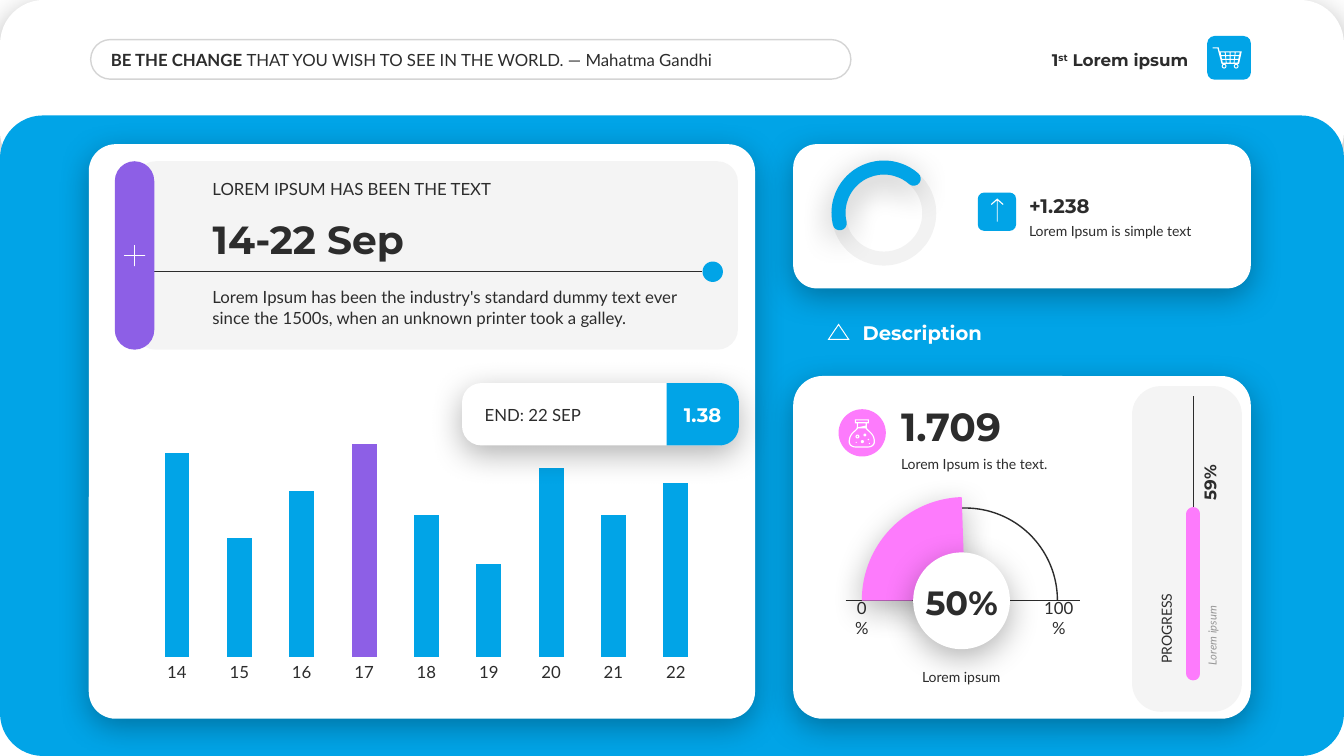
from math import cos, radians, sin

from lxml import etree
from pptx import Presentation
from pptx.chart.data import CategoryChartData
from pptx.dml.color import RGBColor
from pptx.enum.chart import XL_CHART_TYPE, XL_TICK_MARK
from pptx.enum.shapes import MSO_CONNECTOR, MSO_SHAPE
from pptx.enum.text import MSO_ANCHOR, MSO_AUTO_SIZE, PP_ALIGN
from pptx.oxml.ns import qn
from pptx.util import Pt

ROUND, OVAL, ARC = MSO_SHAPE.ROUNDED_RECTANGLE, MSO_SHAPE.OVAL, MSO_SHAPE.ARC
LEFT, MID, RIGHT = PP_ALIGN.LEFT, PP_ALIGN.CENTER, PP_ALIGN.RIGHT
TOP, CENTER, BASE = MSO_ANCHOR.TOP, MSO_ANCHOR.MIDDLE, MSO_ANCHOR.BOTTOM
INK, WHITE = RGBColor(0x2C, 0x2C, 0x2C), RGBColor(0xFF, 0xFF, 0xFF)
BLUE, PURPLE = RGBColor(0x01, 0xA4, 0xE7), RGBColor(0x8D, 0x5F, 0xE6)
PINK, GREY = RGBColor(0xFD, 0x7B, 0xFC), RGBColor(0x96, 0x96, 0x96)
BODY, HEAD = "Lato", "Montserrat"
INSET = (7.2, 3.6, 7.2, 3.6)


def write(shape, text, size=12, font=BODY, color=INK, bold=False, italic=False,
          align=LEFT, anchor=TOP, inset=INSET):
    """Fill a shape with one paragraph; text is a string or (string, changes) runs."""
    frame = shape.text_frame
    frame.word_wrap, frame.auto_size = True, MSO_AUTO_SIZE.NONE
    frame.vertical_anchor = anchor
    (frame.margin_left, frame.margin_top,
     frame.margin_right, frame.margin_bottom) = map(Pt, inset)
    para = frame.paragraphs[0]
    para.alignment = align
    for part, change in [(text, {})] if isinstance(text, str) else text:
        run = para.add_run()
        run.text = part
        run.font.size, run.font.name = Pt(size), font
        run.font.bold, run.font.italic = change.get("bold", bold), italic
        run.font.color.rgb = color
        if "raise" in change:
            run.font._element.set("baseline", str(change["raise"] * 1000))


def ring(x, y, r, start=0, end=360):
    """Points along a circle, in degrees clockwise from the right."""
    return [(x + r * cos(radians(start + (end - start) * i / 16)),
             y + r * sin(radians(start + (end - start) * i / 16))) for i in range(17)]


def curve(a, b, c, d):
    """Points along a cubic curve."""
    steps = [i / 10 for i in range(11)]
    return [tuple((1 - t) ** 3 * p + 3 * t * (1 - t) ** 2 * q + 3 * t * t * (1 - t) * r
                  + t ** 3 * s for p, q, r, s in zip(a, b, c, d)) for t in steps]


def mirror(half, mid):
    return half + [(2 * mid - x, y) for x, y in reversed(half)]


def box(x, y, w, h):
    return [(x, y), (x + w, y), (x + w, y + h), (x, y + h)]


class Board:
    def __init__(self, slide):
        self.slide, self.shapes = slide, slide.shapes

    def paint(self, shape, fill=None, line=None, weight=1, alpha=100, shadow=False):
        if fill is None:
            shape.fill.background()
        else:
            shape.fill.solid()
            shape.fill.fore_color.rgb = fill
        if line is None:
            shape.line.fill.background()
        else:
            shape.line.color.rgb, shape.line.width = line, Pt(weight)
        props = shape._element.spPr
        if alpha < 100:
            for tone in props.iter(qn("a:srgbClr")):
                etree.SubElement(tone, qn("a:alpha"), val=str(alpha * 1000))
        shape.shadow.inherit = False
        if shadow:
            drop = etree.SubElement(props.find(qn("a:effectLst")), qn("a:outerShdw"),
                                    blurRad=str(Pt(23)), dist=str(Pt(6)), dir="5400000",
                                    algn="t", rotWithShape="0")
            tone = etree.SubElement(drop, qn("a:srgbClr"), val="000000")
            etree.SubElement(tone, qn("a:alpha"), val="30000")
        return shape

    def shape(self, kind, x, y, w, h, **look):
        return self.paint(self.shapes.add_shape(kind, Pt(x), Pt(y), Pt(w), Pt(h)), **look)

    def card(self, x, y, w, h, radius, **look):
        self.shape(ROUND, x, y, w, h, **look).adjustments[0] = radius / min(w, h)

    def arc(self, x, y, size, start, end, **look):
        shape = self.shape(ARC, x, y, size, size, **look)
        shape.adjustments[0], shape.adjustments[1] = start * 0.6, end * 0.6
        return shape

    def free(self, paths, fill=WHITE):
        paths = [[(x * 100, y * 100) for x, y in path] for path in paths]
        pen = self.shapes.build_freeform(*paths[0][0], scale=Pt(1) / 100)
        for i, path in enumerate(paths):
            if i:
                pen.move_to(*path[0])
            pen.add_line_segments(path[1:], close=True)
        self.paint(pen.convert_to_shape(), fill)

    def cap(self, shape):
        shape.line._get_or_add_ln().set("cap", "rnd")

    def line(self, x1, y1, x2, y2, color=INK, weight=1):
        link = self.shapes.add_connector(MSO_CONNECTOR.STRAIGHT, Pt(x1), Pt(y1), Pt(x2), Pt(y2))
        link.line.color.rgb, link.line.width = color, Pt(weight)
        etree.SubElement(link._element.spPr, qn("a:effectLst"))
        return link

    def text(self, x, y, w, h, text, turn=0, **style):
        area = self.shapes.add_textbox(Pt(x), Pt(y), Pt(w), Pt(h))
        area.rotation = turn
        write(area, text, **style)

    def title(self, x, y, w, h, text, **style):
        head = self.shapes.title
        head.left, head.top, head.width, head.height = Pt(x), Pt(y), Pt(w), Pt(h)
        write(head, text, **style)
        self.shapes._spTree.append(head._element)

    def bars(self, x, y, w, h, names, values, accent):
        data = CategoryChartData()
        data.categories = names
        data.add_series("Series 1", values)
        chart = self.shapes.add_chart(XL_CHART_TYPE.COLUMN_CLUSTERED,
                                      Pt(x), Pt(y), Pt(w), Pt(h), data).chart
        chart.has_legend = chart.has_title = False
        chart.font.size, chart.font.name, chart.font.color.rgb = Pt(12), BODY, INK
        axis, scale = chart.category_axis, chart.value_axis
        axis.major_tick_mark = XL_TICK_MARK.NONE
        axis.format.line.fill.background()
        scale.visible = scale.has_major_gridlines = False
        scale.minimum_scale, scale.maximum_scale = 0, 100
        plot = chart.plots[0]
        plot.gap_width, plot.vary_by_categories = 150, False
        series = plot.series[0]
        for part, color in ((series, BLUE), (series.points[accent], PURPLE)):
            part.format.fill.solid()
            part.format.fill.fore_color.rgb = color
        # Fixed plot area
        area = chart._chartSpace.find(".//" + qn("c:plotArea"))
        for old in area.findall(qn("c:layout")):
            area.remove(old)
        layout = etree.Element(qn("c:layout"))
        area.insert(0, layout)
        manual = etree.SubElement(layout, qn("c:manualLayout"))
        for tag, val in (("layoutTarget", "inner"), ("xMode", "edge"), ("yMode", "edge"),
                         ("x", "0.02"), ("y", "0.11"), ("w", "0.96"), ("h", "0.78")):
            etree.SubElement(manual, qn("c:" + tag), val=val)


def main():
    deck = Presentation()
    deck.slide_width, deck.slide_height = Pt(960), Pt(540)
    b = Board(deck.slides.add_slide(deck.slide_layouts[5]))

    # Header
    b.card(0, 0, 960, 125.3, 31.4, fill=WHITE, shadow=True)
    b.card(0, 82.5, 960, 457.5, 30.6, fill=BLUE)
    b.card(64.8, 28.3, 543, 28.3, 14.1, line=INK, alpha=20)
    b.text(76.3, 31.7, 522.7, 21.8, [
        ("BE THE CHANGE ", {"bold": True}),
        ("THAT YOU WISH TO SEE IN THE WORLD. ― Mahatma Gandhi", {})],
        anchor=CENTER, inset=(2.9, 3.6, 2.9, 3.6))
    b.text(712, 31.7, 144, 21.8, [("1", {}), ("st", {"raise": 30}), (" Lorem ipsum", {})],
           font=HEAD, bold=True, align=RIGHT, anchor=CENTER)
    b.card(862.3, 25.7, 31.2, 31.2, 5.2, fill=BLUE)

    # Cart icon: outline, basket cells, wheels
    cart = [[(866.2, 33.8), (870.5, 33.8), (871.2, 36.7), (887, 36.7), (885.1, 45.6),
             (872.6, 45.6), (869.7, 34.6), (866.2, 34.6)]]
    for row in range(3):
        for col in range(4):
            cell = box(col * 3.6, row * 2.7, 2.9, 2)
            cart.append([(871.9 + x + y * (0.2 - x * 0.03), 37.4 + y) for x, y in cell])
    for x in (874.4, 883):
        cart += [ring(x, 47.3, 1.7), ring(x, 47.3, 1)]
    b.free(cart)

    # Date card
    b.card(63.4, 103, 475.9, 410.4, 19.3, fill=WHITE, shadow=True)
    b.card(96.5, 115.2, 430.6, 134.6, 14.7, fill=INK, alpha=5)
    b.text(144.7, 201.6, 367.2, 36, "Lorem Ipsum has been the industry's standard dummy text "
           "ever since the 1500s, when an unknown printer took a galley.")
    b.title(144.7, 149.8, 367.2, 41, "14-22 Sep", size=28, font=HEAD, bold=True, anchor=BASE)
    b.text(144.7, 123.8, 367.2, 21.8, "LOREM IPSUM HAS BEEN THE TEXT", anchor=BASE)
    b.line(103.7, 194.1, 501.8, 194.1, weight=0.5)
    b.shape(OVAL, 501.8, 186.8, 14.6, 14.6, fill=BLUE)
    b.card(82, 115.2, 28.2, 134.6, 14.1, fill=PURPLE)
    arm = [(88.6, 182.8), (88.6, 182.2), (95.8, 182.2), (95.8, 175)]
    b.free([mirror(arm, 96.1) + [(x, 365 - y) for x, y in mirror(arm, 96.1)[::-1]]])

    # Column chart and end label
    b.bars(95.8, 295.9, 417.6, 195.1, [str(day) for day in range(14, 23)],
           (96, 56, 78, 100, 67, 44, 89, 67, 82), 3)
    b.card(330, 273.6, 197.6, 44.6, 13.9, fill=WHITE, shadow=True)
    b.text(339.1, 285.1, 141.1, 21.8, "END: 22 SEP", anchor=CENTER)
    b.free([[(476.2, 273.6)] + ring(513.9, 287.5, 13.9, -90, 0)
            + ring(513.9, 304.3, 13.9, 0, 90) + [(476.2, 318.2)]], BLUE)
    b.text(476, 283.7, 51.8, 24.5, "1.38", size=14, font=HEAD, color=WHITE, bold=True,
           align=MID, anchor=CENTER, inset=(2.9, 3.6, 2.9, 3.6))

    # Growth card
    b.card(566.6, 103, 326.9, 103, 16.8, fill=WHITE, shadow=True)
    b.shape(OVAL, 599, 119.9, 64.8, 64.8, line=INK, weight=10, alpha=5)
    b.cap(b.arc(599, 119.7, 64.8, 166.7, 311.2, line=BLUE, weight=10, shadow=True))
    b.card(698.4, 137.5, 27.4, 27.4, 4.6, fill=BLUE)
    b.free([mirror([(712, 158.4), (712, 143.2), (708.3, 146.4), (707.8, 145.8),
                    (712.3, 141.8)], 712.3)])
    b.text(735.1, 155.5, 141.8, 19.4, "Lorem Ipsum is simple text", size=10,
           inset=(0, 3.6, 0, 3.6))
    b.text(735.1, 134.6, 141.8, 24.5, "+1.238", size=14, font=HEAD, bold=True,
           anchor=BASE, inset=(0, 3.6, 0, 3.6))
    b.text(609.1, 225.4, 237.6, 24.5, "Description", size=14, font=HEAD, color=WHITE,
           bold=True, anchor=CENTER)
    b.free([[(599, 231.1), (606.9, 242.8), (591.1, 242.8)],
            [(599, 232.4), (605.6, 242.1), (592.4, 242.1)]])

    # Description card
    b.card(566.6, 268.6, 326.9, 244.8, 21, fill=WHITE, shadow=True)
    b.card(808.6, 275.8, 78.5, 232.6, 20.5, fill=INK, alpha=5)
    b.text(636.5, 321.8, 128.9, 19.4, "Lorem Ipsum is the text.", size=10)
    b.text(636.5, 283.7, 128.9, 41, "1.709", size=28, font=HEAD, bold=True, anchor=BASE)
    b.shape(OVAL, 599, 292.3, 33.8, 33.8, fill=PINK)

    # Flask icon: walls, cap, liquid, bubbles
    outer = ([(612, 302.4)] + curve((612, 305.3), (612, 307.4), (606.2, 308.9), (606.2, 315.4))
             + curve((606.2, 315.4), (606.2, 319.7), (611.3, 319.7), (611.3, 319.7)))
    inner = (curve((612.9, 306), (611.5, 308.5), (607.1, 309.5), (607.1, 315.4))
             + curve((607.1, 315.4), (607.1, 318.9), (611.3, 318.9), (611.3, 318.9)))
    neck = [(612.8, 302.4), (618.4, 302.4), (618.4, 304), (615.6, 304.6), (612.8, 305.2)]
    flask = [mirror(outer, 615.6), mirror(inner, 615.6), neck,
             box(610.6, 299.5, 10, 2.9), box(611.3, 300.2, 8.6, 1.4)]
    for x, y, r in ((612.5, 311.8, 1.4), (612.5, 311.8, 0.6), (617.8, 310.7, 1),
                    (616, 315.4, 1.1), (620.3, 313.9, 0.5), (621, 316.8, 0.4),
                    (611.6, 316, 0.4)):
        flask.append(ring(x, y, r))
    b.free(flask)

    # Gauge
    b.arc(623.5, 362.9, 131.8, 179.8, 0, line=INK)
    b.line(604.1, 429.1, 771.8, 429.1)
    for x, w, label in ((608.4, 14.4, "0%"), (743, 26.6, "100%")):
        b.text(x, 426.8, w, 28.8, label, align=MID, anchor=CENTER, inset=(0, 0, 0, 0))
    b.arc(615.6, 355, 147.6, 179.8, 268.1, fill=PINK, shadow=True)
    b.text(599.8, 473.8, 173.5, 19.4, "Lorem ipsum", size=10, align=MID)
    b.shape(OVAL, 652.3, 394.6, 69.1, 69.1, fill=WHITE, shadow=True)
    b.text(648, 411.8, 77.8, 36, "50%", size=24, font=HEAD, bold=True,
           align=MID, anchor=BASE)

    # Progress
    b.line(852.5, 481, 852.5, 283, weight=0.5)
    b.cap(b.line(852.5, 481, 852.5, 367.2, PINK, 10))
    b.text(797, 403.2, 138.2, 17.3, "Lorem ipsum", turn=270, size=8, color=GREY, italic=True,
           inset=(5.8, 3.6, 7.2, 3.6))
    b.text(828.7, 318.2, 70.6, 21.6, "59%", turn=270, font=HEAD, bold=True,
           anchor=BASE, inset=(7.2, 3.6, 2.9, 3.6))
    b.text(763.9, 402.5, 138.2, 19.4, "PROGRESS", turn=270, size=10, anchor=BASE)

    deck.save("out.pptx")


if __name__ == "__main__":
    main()
